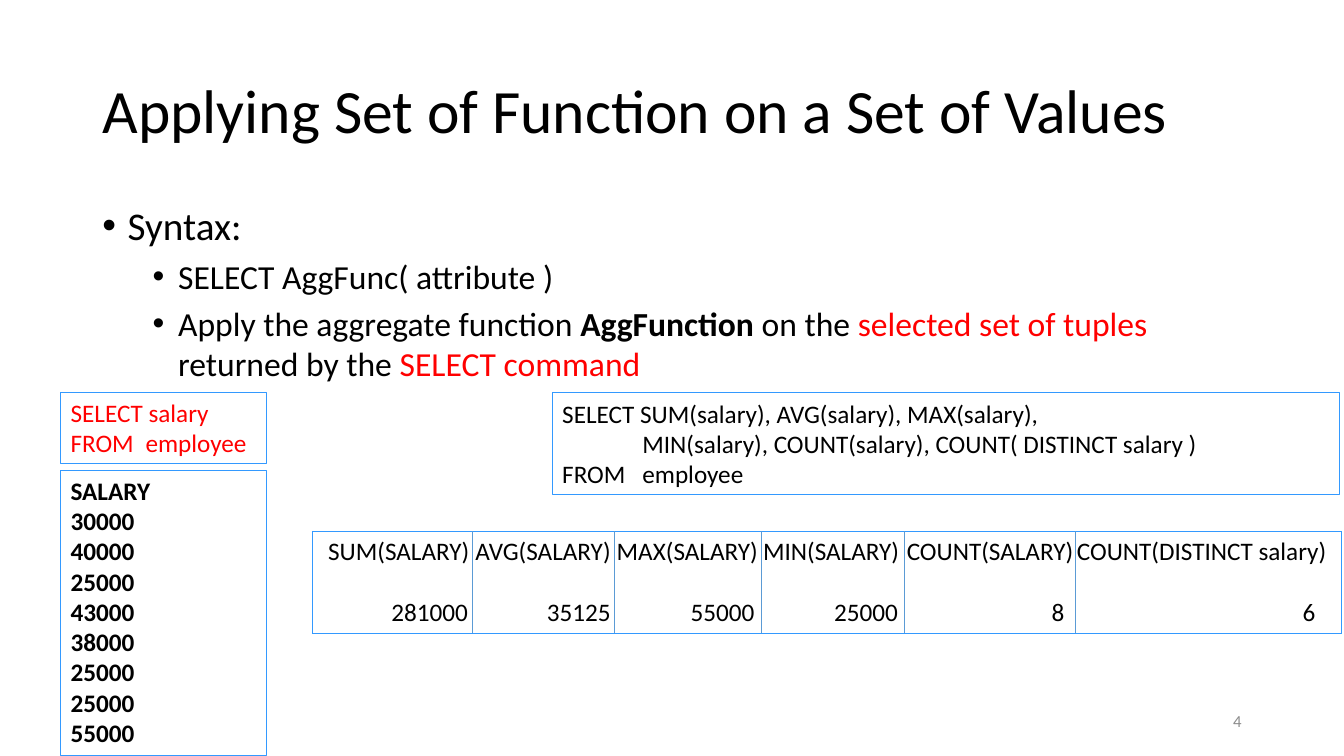
from itertools import accumulate

from lxml import etree
from pptx import Presentation
from pptx import util as u
from pptx.dml import color
from pptx.enum import shapes, text
from pptx.oxml import ns

BLACK, RED, GREY = "000000", "FF0000", "8C8C8C"
FRAME_BLUE, DIVIDER_BLUE = "3399FF", "5B9BD5"
SALARIES = [30000, 40000, 25000, 43000, 38000, 25000, 25000, 55000]
AGGREGATES = [
    ("SUM(SALARY)", "281000", 4.04, 0.08, 0.12),
    ("AVG(SALARY)", "35125", 3.56, 0.08, 0.08),
    ("MAX(SALARY)", "55000", 3.71, 0.08, 0.17),
    ("MIN(SALARY)", "25000", 3.6, 0.12, 0.15),
    ("COUNT(SALARY)", "8", 4.32, 0.05, 0.28),
    ("COUNT(DISTINCT salary)", "6", 6.71, 0.38, 0.66),
]


def rgb(value):
    """Turn a hex string into a colour."""
    return color.RGBColor.from_string(value)


def place(part, box):
    """Move a part to a box given as left, top, width, height in cm."""
    part.left, part.top, part.width, part.height = map(u.Cm, box)


def write(paragraph, wording, size=18, ink=BLACK, bold=False,
          align=text.PP_ALIGN.LEFT, spacing=None, before=0, left=0, hang=0, bullet=None):
    """Write a string, or (string, ink, bold) pieces, into a formatted paragraph."""
    pieces = [(wording, ink, bold)] if isinstance(wording, str) else wording
    paragraph.alignment = align
    paragraph.space_before = u.Pt(before)
    if spacing:
        paragraph.line_spacing = spacing
    props = paragraph._p.get_or_add_pPr()
    props.set("marL", str(u.Cm(left)))
    props.set("indent", str(u.Cm(-hang)))
    if bullet:
        etree.SubElement(props, ns.qn("a:buFont")).set("typeface", "Arial")
        etree.SubElement(props, ns.qn("a:buChar")).set("char", bullet)
    for words, piece_ink, piece_bold in pieces:
        run = paragraph.add_run()
        run.text = words
        run.font.name = "Calibri"
        run.font.size = u.Pt(size)
        run.font.bold = piece_bold
        run.font.color.rgb = rgb(piece_ink)


def write_lines(frame, lines, anchor=text.MSO_ANCHOR.TOP):
    """Fill a text frame with (wording, format) lines."""
    frame.word_wrap = True
    frame.auto_size = text.MSO_AUTO_SIZE.NONE
    frame.vertical_anchor = anchor
    for index, (wording, style) in enumerate(lines):
        paragraph = frame.add_paragraph() if index else frame.paragraphs[0]
        write(paragraph, wording, **style)


def add_heading(slide, box):
    """Fill the title placeholder."""
    place(slide.shapes.title, box)
    heading = ("Applying Set of Function on a Set of Values", dict(size=44, spacing=0.9))
    write_lines(slide.shapes.title.text_frame, [heading], text.MSO_ANCHOR.MIDDLE)


def add_syntax(slide, box):
    """Add the bulleted explanation of the syntax."""
    syntax = slide.shapes.add_textbox(*map(u.Cm, box))
    top = dict(size=28, spacing=0.9, before=10, left=0.64, hang=0.64, bullet="•")
    sub = dict(top, size=24, spacing=None, before=5, left=1.91)
    explanation = [
        ("Apply the aggregate function ", BLACK, False),
        ("AggFunction ", BLACK, True),
        ("on the ", BLACK, False),
        ("selected set of tuples", RED, False),
        (" returned by the ", BLACK, False),
        ("SELECT command", RED, False),
    ]
    write_lines(syntax.text_frame, [
        ("Syntax:", top), ("SELECT AggFunc( attribute )", sub), (explanation, sub)])


def add_framed(slide, box, lines):
    """Add a thin blue frame holding lines of text."""
    framed = slide.shapes.add_shape(shapes.MSO_SHAPE.RECTANGLE, *map(u.Cm, box))
    framed.shadow.inherit = False
    framed.fill.background()
    framed.line.color.rgb = rgb(FRAME_BLUE)
    framed.line.width = u.Pt(0.75)
    write_lines(framed.text_frame, lines)


def add_salary_query(slide, box):
    """Add the plain query with its column of salaries below."""
    left, top, width, height = box
    query_height, gap = 1.8, 0.16
    add_framed(slide, (left, top, width, query_height), [
        ("SELECT salary", dict(ink=RED)),
        ("FROM\temployee", dict(ink=RED, left=1.89, hang=1.89))])
    listing_top = query_height + gap
    add_framed(slide, (left, top + listing_top, width, height - listing_top),
               [(str(entry), dict(bold=True)) for entry in ["SALARY", *SALARIES]])


def add_aggregate_query(slide, box):
    """Add the query that calls every aggregate function."""
    indent = 2.02
    add_framed(slide, box, [
        ("SELECT SUM(salary), AVG(salary), MAX(salary),", {}),
        ("MIN(salary), COUNT(salary), COUNT( DISTINCT salary )", dict(left=indent)),
        ("FROM\temployee", dict(left=indent, hang=indent))])


def set_borders(cell, visible):
    """Draw the frame on the visible sides of a cell and hide the others."""
    props = cell._tc.get_or_add_tcPr()
    for index, (tag, shown) in enumerate(zip(("lnL", "lnR", "lnT", "lnB"), visible)):
        edge = etree.Element(ns.qn(f"a:{tag}"), w=str(u.Pt(0.75)))
        if shown:
            fill = etree.SubElement(edge, ns.qn("a:solidFill"))
            etree.SubElement(fill, ns.qn("a:srgbClr")).set("val", FRAME_BLUE)
        else:
            etree.SubElement(edge, ns.qn("a:noFill"))
        props.insert(index, edge)


def add_divider(slide, x, top, bottom):
    """Add a thin upright line between two columns."""
    divider = slide.shapes.add_connector(
        shapes.MSO_CONNECTOR.STRAIGHT, *map(u.Cm, (x, top, x, bottom)))
    divider.line.color.rgb = rgb(DIVIDER_BLUE)
    divider.line.width = u.Pt(0.5)
    etree.SubElement(divider._element.spPr, ns.qn("a:effectLst"))


def add_results(slide, box):
    """Add the table of aggregate results and its column dividers."""
    left, top, _, height = box
    table = slide.shapes.add_table(2, len(AGGREGATES), *map(u.Cm, box)).table
    table.first_row = table.horz_banding = False
    anchors = [text.MSO_ANCHOR.TOP, text.MSO_ANCHOR.BOTTOM]
    last = len(AGGREGATES) - 1
    for column, (name, value, width, *insets) in enumerate(AGGREGATES):
        table.columns[column].width = u.Cm(width)
        for row, wording in enumerate((name, value)):
            cell = table.cell(row, column)
            cell.fill.background()
            cell.vertical_anchor = anchors[row]
            cell.margin_left = 0
            cell.margin_right = u.Cm(insets[row])
            cell.margin_top = cell.margin_bottom = u.Cm(0.13)
            write(cell.text_frame.paragraphs[0], wording, align=text.PP_ALIGN.RIGHT)
            set_borders(cell, (column == 0, column == last, row == 0, row == 1))
    for offset in accumulate(entry[2] for entry in AGGREGATES[:-1]):
        add_divider(slide, left + offset, top, top + height)


def add_page_number(slide, box):
    """Add the page number."""
    number = slide.shapes.add_textbox(*map(u.Cm, box))
    style = dict(size=12, ink=GREY, align=text.PP_ALIGN.RIGHT)
    write_lines(number.text_frame, [("4", style)], text.MSO_ANCHOR.MIDDLE)


def build():
    """Build the slide and save it."""
    deck = Presentation()
    deck.slide_width, deck.slide_height = u.Cm(33.87), u.Cm(19.05)
    slide = deck.slides.add_slide(deck.slide_layouts[5])
    results_width = sum(entry[2] for entry in AGGREGATES)
    add_heading(slide, (2.33, 1.01, 29.21, 3.68))
    add_syntax(slide, (2.33, 5.07, 29.21, 12.57))
    add_page_number(slide, (23.92, 17.66, 7.62, 1.01))
    add_salary_query(slide, (1.53, 9.89, 5.19, 9.15))
    add_aggregate_query(slide, (13.92, 9.9, 19.84, 2.57))
    add_results(slide, (7.87, 13.39, results_width, 2.57))
    deck.save("out.pptx")


build()
